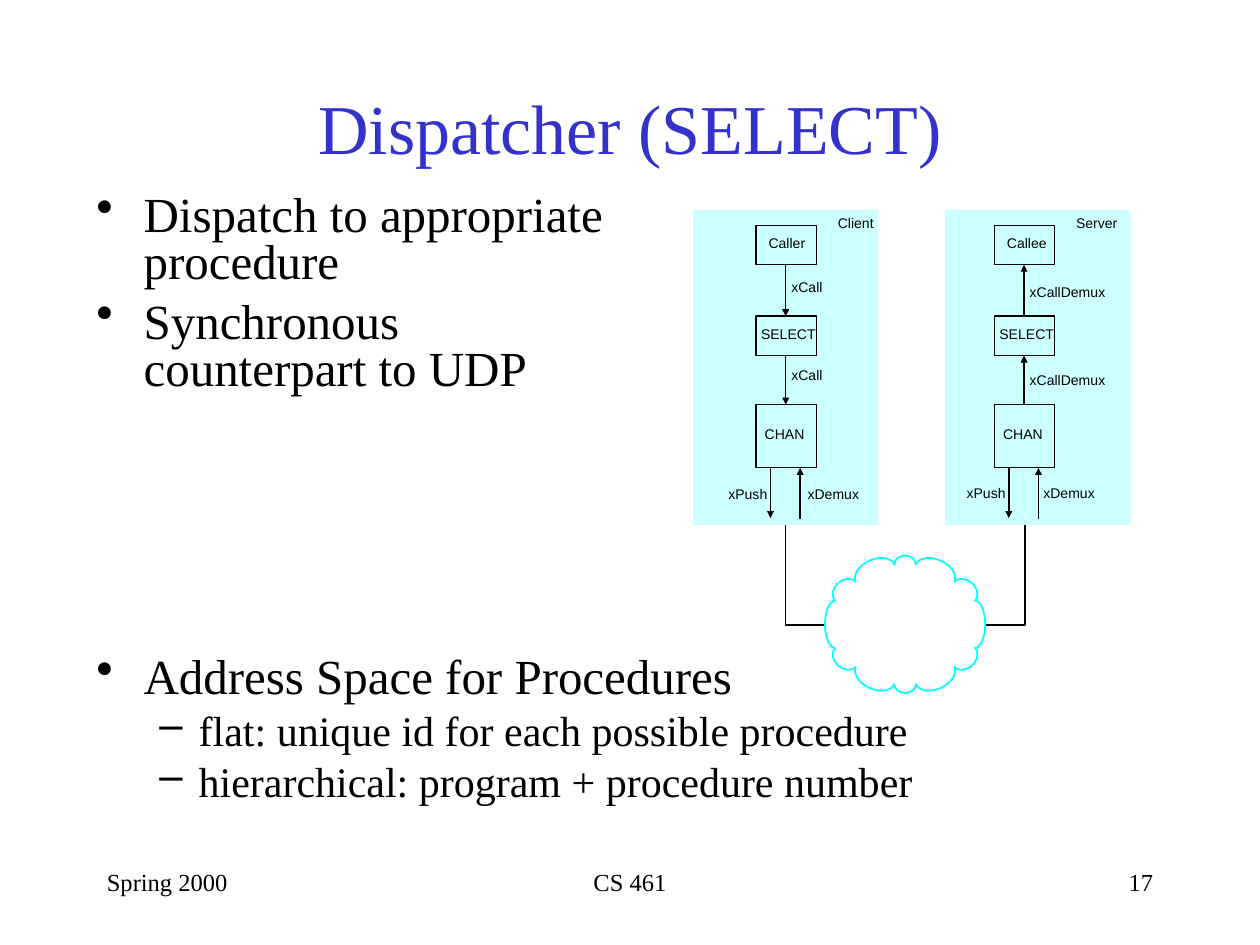
from math import cos, hypot, pi, sin

from lxml.etree import SubElement
from pptx import Presentation
from pptx.dml.color import RGBColor
from pptx.enum.shapes import MSO_CONNECTOR, MSO_SHAPE
from pptx.enum.text import MSO_ANCHOR, PP_ALIGN
from pptx.oxml.ns import qn
from pptx.util import Pt

BLACK = RGBColor(0x00, 0x00, 0x00)
TITLE_BLUE = RGBColor(0x33, 0x33, 0xCC)
PANEL_CYAN = RGBColor(0xCC, 0xFF, 0xFF)
CLOUD_CYAN = RGBColor(0x00, 0xFF, 0xFF)

# Bullet, left indent, hanging indent, size and space before for each level
LEVELS = [("•", 27, 27, 28, 7), ("–", 58.5, 22.5, 24, 6)]


class SlideWriter:
    serif = "Times New Roman"
    sans = "Arial"
    line_width = 0.88

    def __init__(self, slide):
        self.slide = slide

    def format_runs(self, paragraph, font_name, size, color):
        for run in paragraph.runs:
            run.font.name = font_name
            run.font.size = Pt(size)
            run.font.color.rgb = color

    def frame(self, left, top, width, height):
        box = self.slide.shapes.add_textbox(Pt(left), Pt(top), Pt(width), Pt(height))
        box.text_frame.word_wrap = True
        return box.text_frame

    def text(self, words, left, top, width, height, size, color=BLACK,
             align=PP_ALIGN.LEFT, anchor=MSO_ANCHOR.TOP):
        text_frame = self.frame(left, top, width, height)
        text_frame.vertical_anchor = anchor
        text_frame.text = words
        paragraph = text_frame.paragraphs[0]
        paragraph.alignment = align
        self.format_runs(paragraph, self.serif, size, color)

    def label(self, words, left, top):
        text_frame = self.frame(left, top, 44, 9)
        text_frame.word_wrap = False
        text_frame.margin_left = text_frame.margin_right = 0
        text_frame.margin_top = text_frame.margin_bottom = 0
        text_frame.text = words
        self.format_runs(text_frame.paragraphs[0], self.sans, 8, BLACK)

    def bullets(self, items, left, top, width, height):
        text_frame = self.frame(left, top, width, height)
        for index, (level, words) in enumerate(items):
            bullet, indent, hanging, size, space = LEVELS[level]
            paragraph = text_frame.paragraphs[0] if index == 0 else text_frame.add_paragraph()
            paragraph.text = words
            paragraph.level = level
            properties = paragraph._p.get_or_add_pPr()
            properties.set("marL", str(Pt(indent)))
            properties.set("indent", str(-Pt(hanging)))
            SubElement(properties, qn("a:buChar")).set("char", bullet)
            paragraph.line_spacing = 0.8
            paragraph.space_before = Pt(space if index else 0)
            self.format_runs(paragraph, self.serif, size, BLACK)

    def rectangle(self, left, top, width, height, fill=None):
        shape = self.slide.shapes.add_shape(
            MSO_SHAPE.RECTANGLE, Pt(left), Pt(top), Pt(width), Pt(height))
        shape.shadow.inherit = False
        if fill is None:
            shape.fill.background()
            shape.line.color.rgb = BLACK
            shape.line.width = Pt(self.line_width)
        else:
            shape.fill.solid()
            shape.fill.fore_color.rgb = fill
            shape.line.fill.background()

    def arrow(self, x, start, end):
        connector = self.slide.shapes.add_connector(
            MSO_CONNECTOR.STRAIGHT, Pt(x), Pt(start), Pt(x), Pt(end))
        connector.line.color.rgb = BLACK
        connector.line.width = Pt(self.line_width)
        head = SubElement(connector.line._get_or_add_ln(), qn("a:tailEnd"))
        for name, value in (("type", "triangle"), ("w", "sm"), ("len", "sm")):
            head.set(name, value)
        SubElement(connector._element.spPr, qn("a:effectLst"))

    def outline(self, points, color, width, close=False):
        start, *others = [(Pt(x), Pt(y)) for x, y in points]
        builder = self.slide.shapes.build_freeform(*start)
        builder.add_line_segments(others, close=close)
        shape = builder.convert_to_shape()
        shape.shadow.inherit = False
        shape.fill.background()
        shape.line.color.rgb = color
        shape.line.width = Pt(width)


def lobe(start, end, bulge, steps=14):
    """Points of a half ellipse on the left of the way from start to end."""
    (x1, y1), (x2, y2) = start, end
    half_x, half_y = (x2 - x1) / 2, (y2 - y1) / 2
    half = hypot(half_x, half_y)
    points = []
    for step in range(steps):
        angle = pi * step / steps
        along, out = 1 - cos(angle), bulge * sin(angle) / half
        points.append((x1 + half_x * along + half_y * out,
                       y1 + half_y * along - half_x * out))
    return points


def cloud_points(center_x, center_y):
    # Cusps of one quarter, mirrored clockwise from the left side
    quarter = [(40, 13.5), (28.2, 24.3), (6.1, 34.2)]
    cusps = [(-x, -y) for x, y in quarter]
    cusps += [(x, -y) for x, y in reversed(quarter)]
    cusps += quarter
    cusps += [(-x, y) for x, y in reversed(quarter)]
    cusps = [(center_x + x, center_y + y) for x, y in cusps]
    bulges = [6.2, 7.8, 5, 7.8, 6.2, 5.8] * 2
    points = []
    for start, end, bulge in zip(cusps, cusps[1:] + cusps[:1], bulges):
        points += lobe(start, end, bulge)
    return points


def draw_host(writer, panel_left, box_left, host, host_left, top_box,
              call, call_top, upward, demux_left, demux_top):
    # Panel and its name
    writer.rectangle(panel_left, 120, 106, 180, PANEL_CYAN)
    writer.label(host, host_left, 122.4)

    # Protocol boxes
    for words, top, height, inset, label_top in (
            (top_box, 128.8, 22.5, 7.2, 133.9),
            ("SELECT", 180.7, 22.5, 2.9, 185.8),
            ("CHAN", 231.2, 36, 5, 243.4)):
        writer.rectangle(box_left, top, 34.5, height)
        writer.label(words, box_left + inset, label_top)

    # Calls between the boxes
    for index, ends in enumerate([(151.3, 180.7), (203.2, 231.2)]):
        writer.arrow(box_left + 17, *(reversed(ends) if upward else ends))
        writer.label(call, box_left + 20.2, call_top + 50.4 * index)

    # Push and demux below CHAN
    writer.arrow(box_left + 8.3, 267.2, 296)
    writer.arrow(box_left + 25.2, 296.6, 267.4)
    writer.label("xPush", box_left - 15.8, demux_top)
    writer.label("xDemux", box_left + demux_left, demux_top)


def main():
    presentation = Presentation()
    presentation.slide_width, presentation.slide_height = Pt(720), Pt(540)
    slide = presentation.slides.add_slide(presentation.slide_layouts[6])
    writer = SlideWriter(slide)

    # Title and upper bullets
    writer.text("Dispatcher (SELECT)", 54, 42, 612, 60, 40, TITLE_BLUE,
                PP_ALIGN.CENTER, MSO_ANCHOR.MIDDLE)
    writer.bullets([(0, "Dispatch to appropriate procedure"),
                    (0, "Synchronous counterpart to UDP")], 48, 108, 306, 174)

    # Wires from the hosts to the network
    writer.outline([(449, 267), (449, 357), (471, 357)], BLACK, writer.line_width)
    writer.outline([(563, 357), (585.8, 357), (585.8, 267)], BLACK, writer.line_width)

    # Client, server and network cloud
    draw_host(writer, 396, 432, "Client", 478.8, "Caller",
              "xCall", 159.1, False, 29.5, 277.6)
    draw_host(writer, 540, 568.2, "Server", 614.9, "Callee",
              "xCallDemux", 162, True, 28, 276.8)
    writer.outline(cloud_points(517.2, 356.8), CLOUD_CYAN, 1, close=True)

    # Lower bullets
    writer.bullets([(0, "Address Space for Procedures"),
                    (1, "flat: unique id for each possible procedure"),
                    (1, "hierarchical: program + procedure number")],
                   48, 372, 534, 108)

    # Footer
    for words, left, width, align in (
            ("Spring 2000", 54, 150, PP_ALIGN.LEFT),
            ("CS 461", 246, 228, PP_ALIGN.CENTER),
            ("17", 516, 150, PP_ALIGN.RIGHT)):
        writer.text(words, left, 492, width, 36, 14, align=align)

    presentation.save("out.pptx")


if __name__ == "__main__":
    main()
